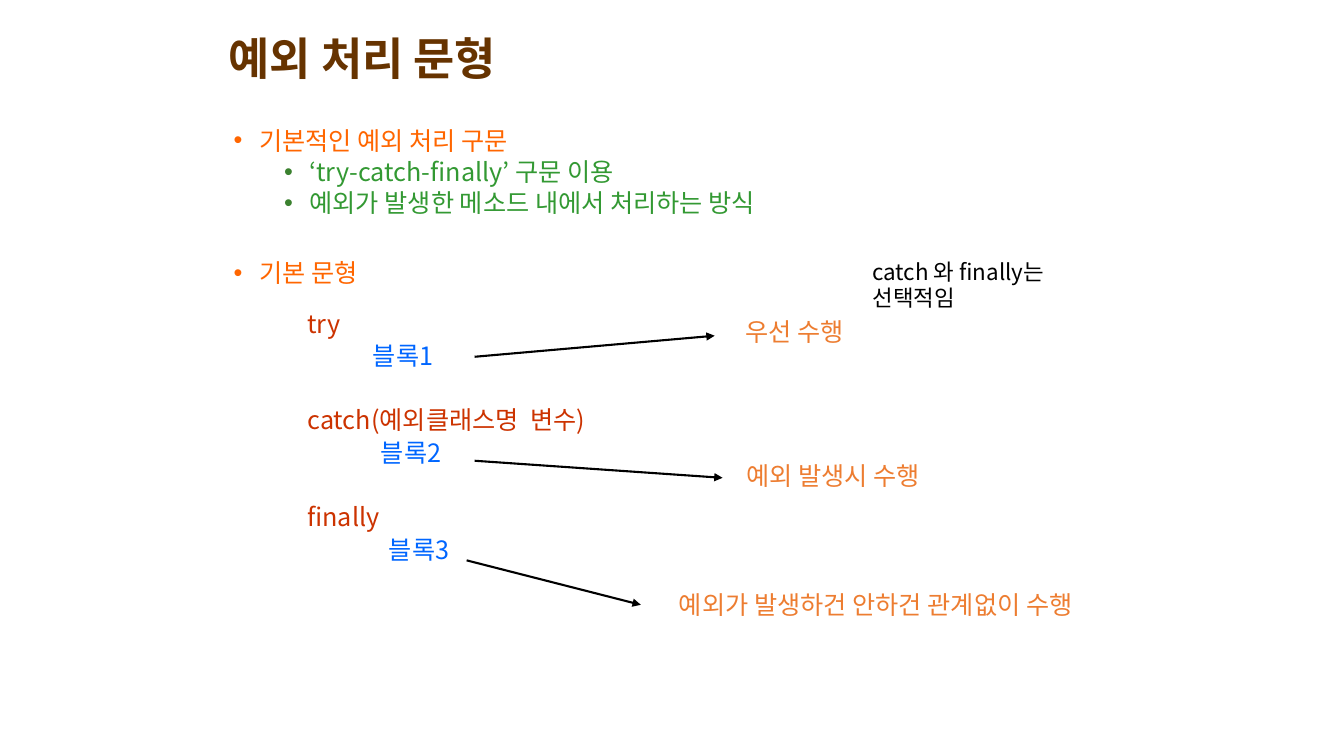
"""Build the slide on the syntax of exception handling."""
from lxml.etree import SubElement
from pptx import Presentation
from pptx.dml.color import RGBColor
from pptx.enum.shapes import MSO_CONNECTOR
from pptx.enum.text import MSO_ANCHOR as ANCHOR, PP_ALIGN as ALIGN
from pptx.oxml.ns import qn
from pptx.util import Cm, Pt

THEME = {
    "font": "Noto Sans CJK KR",
    "colors": {"title": "663300", "topic": "FF6600", "detail": "339933",
               "detail_bullet": "3B812F", "keyword": "CC3300", "block": "0066FF",
               "label": "ED7D31", "ink": "000000"},
    "sizes": {"title": 32, "text": 18, "note": 16},
    "arrow_width": 1.5,
}

TITLE = "예외 처리 문형"
OUTLINE = [
    ("topic", "기본적인 예외 처리 구문", 0),
    ("detail", "‘try-catch-finally’ 구문 이용", 5),
    ("detail", "예외가 발생한 메소드 내에서 처리하는 방식", 5),
    ("topic", "기본 문형", 32.5),
]
CLAUSES = [("try", "블록1"), ("catch(예외클래스명  변수)", "블록2"), ("finally", "블록3")]
LABELS = [
    ("우선 수행", (17.13, 7.93, 5.78, 0.84)),
    ("예외 발생시 수행", (18.17, 11.58, 5.65, 0.79)),
    ("예외가 발생하건 안하건 관계없이 수행", (16.59, 14.88, 10.96, 0.71)),
]
ARROWS = [
    (11.96, 8.99, 18.01, 8.46),
    (11.96, 11.61, 18.21, 12.04),
    (11.76, 14.12, 16.15, 15.24),
]
NOTE = ["catch 와 finally는", "선택적임"]

BULLET_INDENT = {"topic": 0.64, "detail": 1.91}
BULLET_COLOR = {"topic": "topic", "detail": "detail_bullet"}
HANGING = 0.64
BLOCK_INDENT, BLOCK_STEP = 1.65, 0.2
LINE_GAP, CLAUSE_GAP = 3.7, 26.6


def color(role):
    return RGBColor.from_string(THEME["colors"][role])


def assign(target, values):
    for name, value in values.items():
        setattr(target, name, value)


def add_frame(slide, box, **values):
    frame = slide.shapes.add_textbox(*map(Cm, box)).text_frame
    assign(frame, {"word_wrap": True, **values})
    return frame


def add_line(frame, text, role, size="text", **values):
    first = frame.paragraphs[0]
    line = frame.add_paragraph() if first.runs else first
    assign(line, values)
    run = line.add_run()
    run.text = text
    assign(run.font, {"name": THEME["font"], "size": Pt(THEME["sizes"][size]),
                      "bold": size == "title"})
    run.font.color.rgb = color(role)
    SubElement(run.font._element, qn("a:ea")).set("typeface", THEME["font"])
    return line


def indent(line, left, first=0.0):
    properties = line._p.get_or_add_pPr()
    properties.set("marL", str(Cm(left)))
    properties.set("indent", str(Cm(first)))
    return properties


def add_bullet(line, level):
    properties = indent(line, BULLET_INDENT[level], -HANGING)
    tint = SubElement(SubElement(properties, qn("a:buClr")), qn("a:srgbClr"))
    tint.set("val", THEME["colors"][BULLET_COLOR[level]])
    SubElement(properties, qn("a:buFont")).set("typeface", "Arial")
    SubElement(properties, qn("a:buChar")).set("char", "•")


def add_arrow(slide, ends):
    arrow = slide.shapes.add_connector(MSO_CONNECTOR.STRAIGHT, *map(Cm, ends))
    arrow.line.color.rgb = color("ink")
    arrow.line.width = Pt(THEME["arrow_width"])
    SubElement(arrow.line._get_or_add_ln(), qn("a:tailEnd")).set("type", "triangle")
    SubElement(arrow._element.spPr, qn("a:effectLst"))


def main():
    deck = Presentation()
    assign(deck, {"slide_width": Cm(33.87), "slide_height": Cm(19.05)})
    slide = deck.slides.add_slide(deck.slide_layouts[6])

    heading = add_frame(slide, (5.51, 0.76, 10.44, 1.55), vertical_anchor=ANCHOR.MIDDLE)
    add_line(heading, TITLE, "title", "title", line_spacing=0.9)

    outline = add_frame(slide, (5.64, 3.18, 20.88, 4.34))
    for level, text, gap in OUTLINE:
        line = add_line(outline, text, level, line_spacing=0.8, space_before=Pt(gap))
        add_bullet(line, level)

    syntax = add_frame(slide, (7.5, 7.72, 9.88, 8.92))
    for index, (keyword, block) in enumerate(CLAUSES):
        gap = CLAUSE_GAP if index else 0
        add_line(syntax, keyword, "keyword", line_spacing=0.9, space_before=Pt(gap))
        line = add_line(syntax, block, "block", line_spacing=0.9, space_before=Pt(LINE_GAP))
        indent(line, BLOCK_INDENT + index * BLOCK_STEP)

    for text, box in LABELS:
        label = add_frame(slide, box, vertical_anchor=ANCHOR.MIDDLE)
        add_line(label, text, "label", alignment=ALIGN.CENTER)

    for ends in ARROWS:
        add_arrow(slide, ends)

    note = add_frame(slide, (21.74, 6.37, 5.72, 1.63))
    for text in NOTE:
        add_line(note, text, "ink", "note")

    deck.save("out.pptx")


if __name__ == "__main__":
    main()
